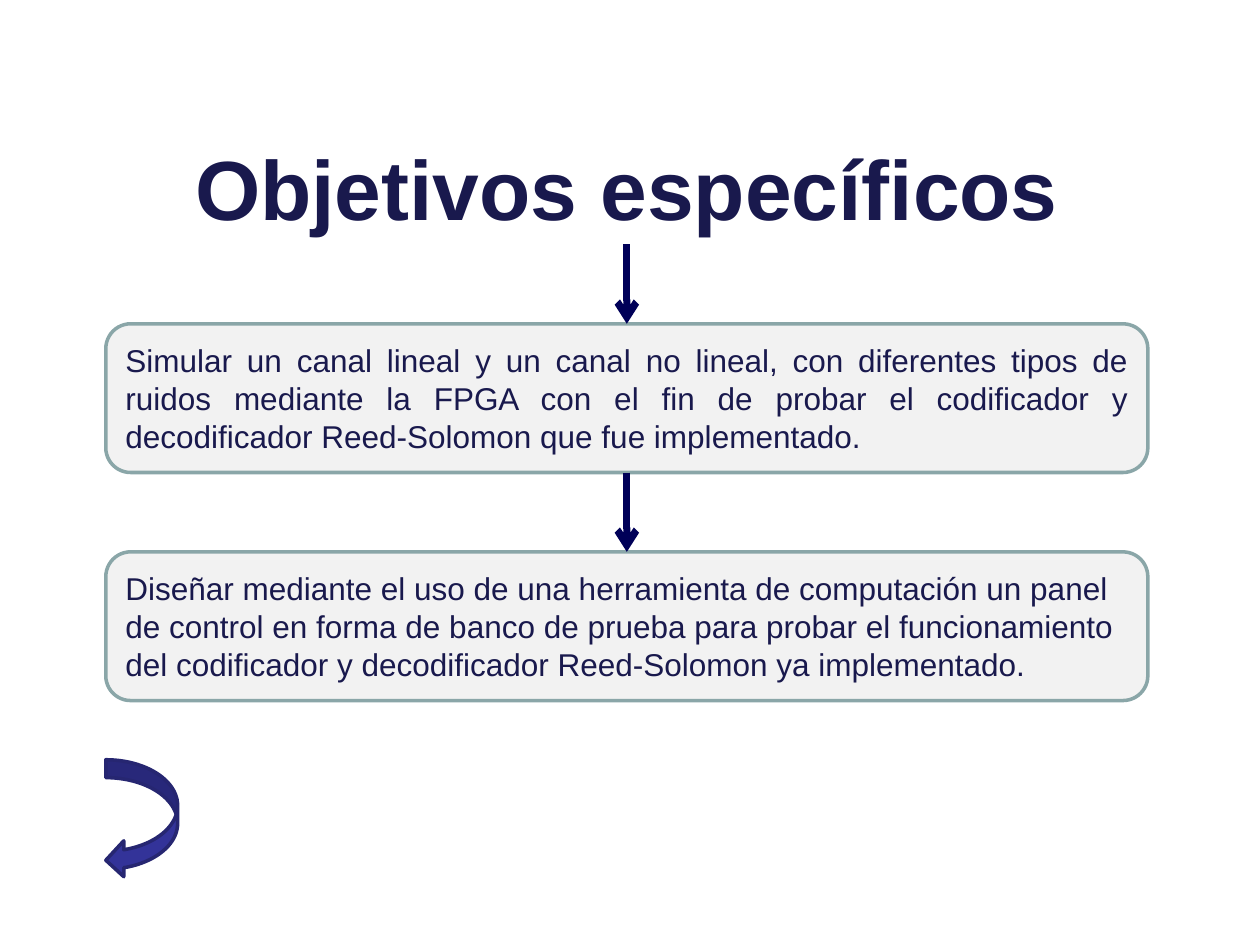
from lxml.etree import SubElement
from pptx import Presentation
from pptx.dml.color import RGBColor
from pptx.enum.shapes import MSO_CONNECTOR as Link, MSO_SHAPE as Shape
from pptx.enum.text import MSO_ANCHOR as Anchor, MSO_AUTO_SIZE as Fit, PP_ALIGN as Align
from pptx.oxml.ns import qn
from pptx.util import Inches, Pt

INK = RGBColor(0x19, 0x19, 0x4D)
PALE = RGBColor(0xF2, 0xF2, 0xF2)
EDGE = RGBColor(0x8A, 0xA6, 0xA8)
NAVY = RGBColor(0x00, 0x00, 0x58)
BLUE = RGBColor(0x33, 0x33, 0x99)
DARK = RGBColor(0x26, 0x26, 0x71)

LEFT, WIDTH, HIGH = 0.84, 8.27, 1.18
TOP, STEP = 2.57, 1.81
GOALS = [
    ("Simular un canal lineal y un canal no lineal, con diferentes tipos de ruidos "
     "mediante la FPGA con el fin de probar el codificador y decodificador "
     "Reed-Solomon que fue implementado.", Align.JUSTIFY),
    ("Diseñar mediante el uso de una herramienta de computación un panel de control "
     "en forma de banco de prueba para probar el funcionamiento del codificador y "
     "decodificador Reed-Solomon ya implementado.", Align.LEFT),
]


def write(frame, text, size, align, bold=False):
    """Fill a text frame with one styled paragraph."""
    frame.text = text
    para = frame.paragraphs[0]
    para.alignment = align
    font = para.runs[0].font
    font.name, font.size, font.bold = "Arial", Pt(size), bold
    font.color.rgb = INK


def add_title(slide, text):
    """Place the slide title and return it."""
    title = slide.shapes.title
    title.left, title.top = Inches(1.4), Inches(1.03)
    title.width, title.height = Inches(7.15), Inches(0.91)
    frame = title.text_frame
    write(frame, text, 48, Align.CENTER, True)
    frame.word_wrap = False
    frame.auto_size = Fit.SHAPE_TO_FIT_TEXT
    frame.vertical_anchor = Anchor.TOP
    return title


def add_shape(slide, kind, box, fill, edge):
    """Draw a filled and outlined preset shape."""
    shape = slide.shapes.add_shape(kind, *map(Inches, box))
    shape.shadow.inherit = False
    shape.fill.solid()
    shape.fill.fore_color.rgb = fill
    shape.line.color.rgb = edge
    shape.line.width = Pt(2)
    return shape


def add_card(slide, top, text, align):
    """Draw a rounded card that holds one goal."""
    card = add_shape(slide, Shape.ROUNDED_RECTANGLE, (LEFT, top, WIDTH, HIGH), PALE, EDGE)
    frame = card.text_frame
    frame.word_wrap = True
    frame.vertical_anchor = Anchor.MIDDLE
    write(frame, text, 18, align)
    return card


def add_arrow(slide, start, end):
    """Join the bottom of one shape to the top of the next."""
    arrow = slide.shapes.add_connector(Link.STRAIGHT, 0, 0, 0, 0)
    arrow.begin_connect(start, 2)
    arrow.end_connect(end, 0)
    arrow.line.color.rgb = NAVY
    arrow.line.width = Pt(4)
    SubElement(arrow.line._get_or_add_ln(), qn("a:tailEnd"), type="arrow")
    SubElement(arrow._element.spPr, qn("a:effectLst"))


def main():
    """Build and save the slide."""
    deck = Presentation()
    deck.slide_width, deck.slide_height = Inches(10), Inches(7.5)
    slide = deck.slides.add_slide(deck.slide_layouts[5])
    last = add_title(slide, "Objetivos específicos")
    for row, (text, align) in enumerate(GOALS):
        card = add_card(slide, TOP + row * STEP, text, align)
        add_arrow(slide, last, card)
        last = card
    add_shape(slide, Shape.CURVED_LEFT_ARROW, (LEFT, 6.03, 0.57, 0.94), BLUE, DARK)
    deck.save("out.pptx")


if __name__ == "__main__":
    main()
